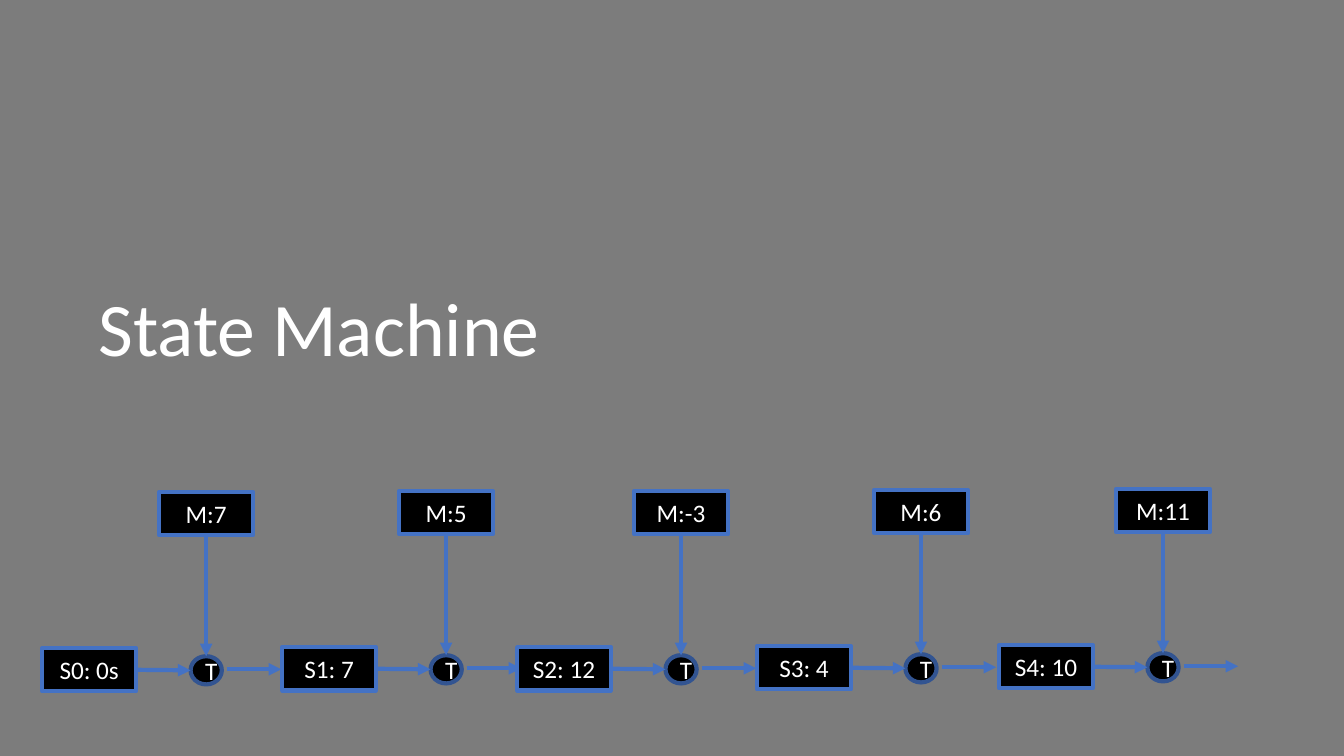
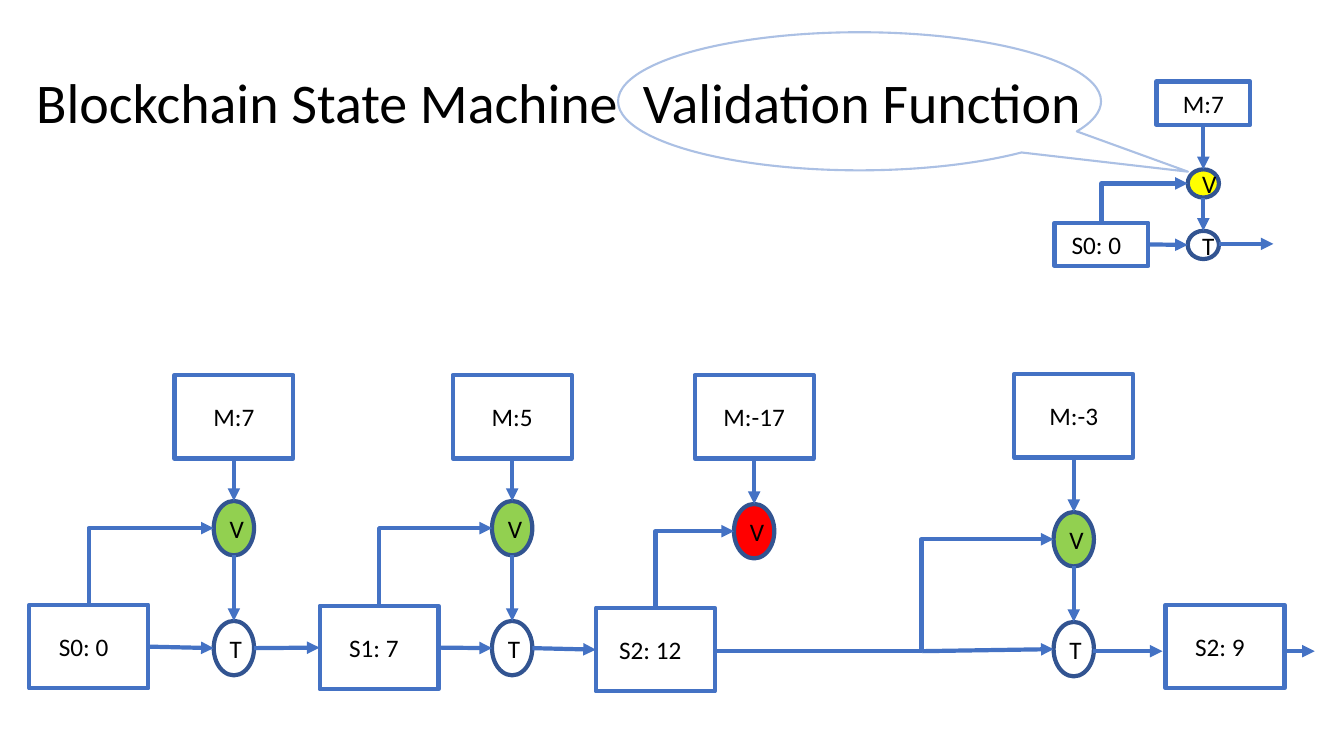
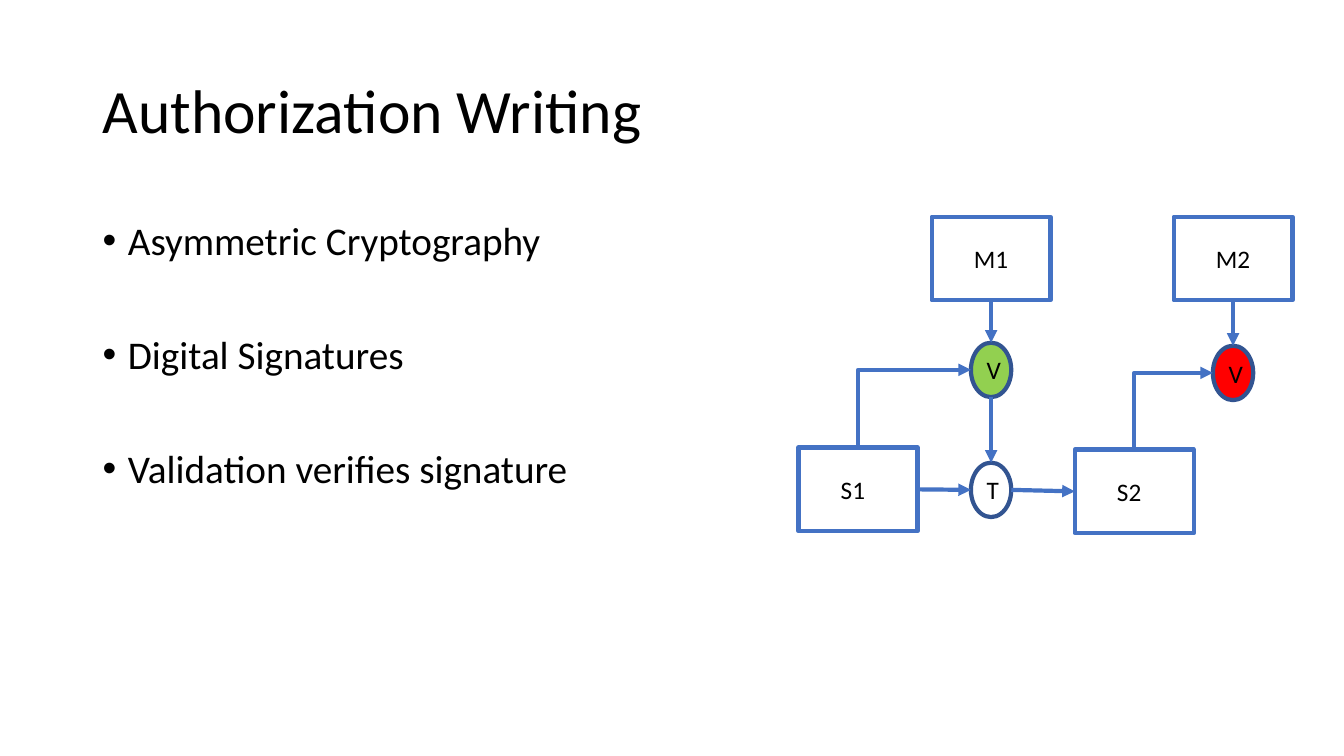
import pptx
import pptx.dml.color
import pptx.enum.shapes
import pptx.enum.text
import pptx.oxml.ns
import pptx.util
from lxml import etree

Inches = pptx.util.Inches
Pt = pptx.util.Pt
qn = pptx.oxml.ns.qn
SHAPE = pptx.enum.shapes.MSO_SHAPE
CONNECTOR = pptx.enum.shapes.MSO_CONNECTOR
ANCHOR = pptx.enum.text.MSO_ANCHOR
ALIGN = pptx.enum.text.PP_ALIGN

COLORS = {
    "grey": "7C7C7C", "white": "FFFFFF", "black": "000000",
    "blue": "4472C4", "navy": "325491", "pale": "ABC0E4",
    "green": "92D050", "red": "FF0000", "yellow": "FFFF00",
}
FONT = "Calibri"
# Box width and height, then circle width and height
SMALL = (0.93, 0.43, 0.31, 0.28)
LARGE = (1.18, 0.83, 0.40, 0.54)


def rgb(name):
    return pptx.dml.color.RGBColor.from_string(COLORS[name])


class Deck:
    """Holds the presentation, the current slide and its style."""

    def __init__(self):
        self.prs = pptx.Presentation()
        self.prs.slide_width, self.prs.slide_height = Inches(13.33), Inches(7.5)

    def new_slide(self, background, ink, paper, sizes):
        self.slide = self.prs.slides.add_slide(self.prs.slide_layouts[6])
        self.slide.background.fill.solid()
        self.slide.background.fill.fore_color.rgb = rgb(background)
        self.ink, self.paper, self.sizes = ink, paper, sizes

    def style_paragraph(self, paragraph, size):
        for run in paragraph.runs:
            run.font.name, run.font.size = FONT, Pt(size)
            run.font.color.rgb = rgb(self.ink)

    def text_frame(self, left, top, width, height, anchor=ANCHOR.TOP):
        box = self.slide.shapes.add_textbox(*map(Inches, (left, top, width, height)))
        box.text_frame.word_wrap = True
        box.text_frame.vertical_anchor = anchor
        return box.text_frame

    def title(self, text, bounds, size, anchor=ANCHOR.MIDDLE):
        heading = self.text_frame(*bounds, anchor).paragraphs[0]
        heading.text, heading.line_spacing = text, 0.9
        self.style_paragraph(heading, size)

    def bullets(self, items, bounds):
        frame = self.text_frame(*bounds)
        frame.text = "\n".join(items)
        for index, item in enumerate(frame.paragraphs):
            item.line_spacing = 0.9
            item.space_before = Pt(51 if index else 10)
            self.style_paragraph(item, 28)
            props = item._p.get_or_add_pPr()
            props.set("marL", str(Inches(0.25)))
            props.set("indent", str(Inches(-0.25)))
            etree.SubElement(props, qn("a:buFont")).set("typeface", "Arial")
            etree.SubElement(props, qn("a:buChar")).set("char", "•")

    def outline(self, preset, bounds, line, width):
        shape = self.slide.shapes.add_shape(preset, *map(Inches, bounds))
        shape.shadow.inherit = False
        shape.fill.background()
        shape.line.color.rgb, shape.line.width = rgb(line), Pt(width)
        return shape

    def node(self, preset, bounds, text, fill, line):
        shape = self.outline(preset, bounds, line, 3)
        shape.fill.solid()
        shape.fill.fore_color.rgb = rgb(fill)
        label = shape.text_frame.paragraphs[0]
        label.text, label.alignment = text, ALIGN.CENTER
        self.style_paragraph(label, 18)
        return shape

    def box(self, left, top, text):
        return self.node(SHAPE.RECTANGLE, (left, top, *self.sizes[:2]), text, self.paper, "blue")

    def state(self, left, top, text):
        """Box whose label sits slightly left of the middle."""
        shape = self.box(left, top, text)
        shape.text_frame.margin_right = Inches(0.2)
        return shape

    def circle(self, left, top, text, fill=None):
        return self.node(SHAPE.OVAL, (left, top, *self.sizes[2:]), text,
                         fill or self.paper, "navy")

    def arrow(self, start, end, kind=CONNECTOR.STRAIGHT):
        connector = self.slide.shapes.add_connector(kind, *map(Inches, (*start, *end)))
        connector.line.color.rgb, connector.line.width = rgb("blue"), Pt(3)
        etree.SubElement(connector.get_or_add_ln(), qn("a:tailEnd")).set("type", "triangle")
        etree.SubElement(connector.element.spPr, qn("a:effectLst"))
        return connector

    def link(self, source, target, downward=False):
        """Arrow from edge to edge of two nodes, rightward unless downward."""
        ends = []
        for node, reach in ((source, 1), (target, 0)):
            across, down = (0.5, reach) if downward else (reach, 0.5)
            ends.append(((node.left + across * node.width) / Inches(1),
                         (node.top + down * node.height) / Inches(1)))
        self.arrow(*ends)

    def rise(self, state, check):
        """Arrow from the top of a state up, then right into its check."""
        x1, y1 = state.left + state.width // 2, state.top
        x2, y2 = check.left, check.top + check.height // 2
        across, up = x2 - x1, y1 - y2
        connector = self.arrow((0, 0), (1, 1), CONNECTOR.ELBOW)
        connector.left, connector.top = (x1 + x2 - up) // 2, (y1 + y2 - across) // 2
        connector.width, connector.height = up, across
        properties = connector.element.spPr
        properties.find(qn("a:prstGeom")).set("prst", "bentConnector2")
        for key, value in (("rot", "5400000"), ("flipH", "1"), ("flipV", "1")):
            properties.find(qn("a:xfrm")).set(key, value)

    def column(self, left, tops, message, verdict):
        """Message, check and (with a third top) transition, linked downward."""
        circle_left = left + (self.sizes[0] - self.sizes[2]) / 2
        source = self.box(left, tops[0], message)
        check = self.circle(circle_left, tops[1], "V", verdict)
        self.link(source, check, downward=True)
        if len(tops) == 2:
            return check, None
        transition = self.circle(circle_left, tops[2], "T")
        self.link(check, transition, downward=True)
        return check, transition

    def accept_then_reject(self, dx, dy, states, messages):
        """One accepted step followed by a rejected one; returns the first state."""
        first = self.state(3.17 + dx, 6.01 + dy, states[0])
        check, transition = self.column(4.49 + dx, (3.72 + dy, 4.97 + dy, 6.16 + dy),
                                        messages[0], "green")
        self.rise(first, check)
        self.link(first, transition)
        second = self.state(5.91 + dx, 6.03 + dy, states[1])
        self.link(transition, second)
        check, _ = self.column(6.89 + dx, (3.72 + dy, 5 + dy), messages[1], "red")
        self.rise(second, check)
        return first


def state_machine(deck):
    deck.new_slide("grey", "white", "black", SMALL)
    deck.title("State Machine", (0.88, 2.84, 7.01, 3.58), 54, ANCHOR.TOP)
    steps = [
        (0.42, 6.43, "S0: 0s", "M:7"), (2.8, 6.42, "S1: 7", "M:5"),
        (5.13, 6.42, "S2: 12", "M:-3"), (7.51, 6.41, "S3: 4", "M:6"),
        (9.91, 6.4, "S4: 10", "M:11"),
    ]
    for left, top, state_text, message_text in steps:
        state = deck.box(left, top, state_text)
        message = deck.box(left + 1.16, top - 1.55, message_text)
        transition = deck.circle(left + 1.47, top + 0.08, "T")
        deck.link(message, transition, downward=True)
        deck.link(state, transition)
        deck.arrow((left + 1.83, top + 0.21), (left + 2.37, top + 0.21))


def validation_function(deck):
    deck.new_slide("white", "black", "white", SMALL)
    callout = deck.outline(SHAPE.OVAL_CALLOUT, (6.13, 0.32, 4.79, 1.37), "pale", 1.5)
    callout.adjustments[0], callout.adjustments[1] = 0.68, 0.51
    deck.title("Blockchain State Machine  Validation Function", (0.26, 0.32, 12.15, 1.45), 40)

    state = deck.state(10.46, 2.21, "S0: 0")
    check, transition = deck.column(11.47, (0.81, 1.68, 2.29), "M:7", "yellow")
    deck.rise(state, check)
    deck.link(state, transition)
    deck.arrow((12.09, 2.42), (12.63, 2.42))

    deck.sizes = LARGE
    state = deck.state(0.29, 6, "S0: 0")
    check, transition = deck.column(1.73, (3.72, 4.97, 6.16), "M:7", "green")
    deck.rise(state, check)
    deck.link(state, transition)
    following = deck.accept_then_reject(0, 0, ("S1: 7", "S2: 12"), ("M:5", "M:-17"))
    deck.link(transition, following)

    deck.column(10.06, (3.71, 5.08, 6.17), "M:-3", "green")
    bypass = deck.arrow((7.08, 6.46), (10.45, 5.35), CONNECTOR.ELBOW)
    geometry = bypass.element.spPr.find(qn("a:prstGeom"))
    bend = etree.SubElement(geometry.find(qn("a:avLst")), qn("a:gd"))
    bend.set("name", "adj1")
    bend.set("fmla", "val 61100")
    deck.arrow((9.15, 6.46), (10.45, 6.44))
    deck.state(11.56, 6, "S2: 9")
    deck.arrow((10.84, 6.46), (11.53, 6.46))
    deck.arrow((12.73, 6.46), (13.04, 6.46))


def authorization_writing(deck):
    deck.new_slide("white", "black", "white", LARGE)
    deck.title("Authorization Writing", (0.92, 0.4, 11.5, 1.45), 44)
    deck.bullets(["Asymmetric Cryptography", "Digital Signatures", "Validation verifies signature"],
                 (0.92, 2.15, 6.61, 4.6))
    deck.accept_then_reject(4.75, -1.57, ("S1", "S2"), ("M1", "M2"))


def main():
    deck = Deck()
    state_machine(deck)
    validation_function(deck)
    authorization_writing(deck)
    deck.prs.save("out.pptx")


if __name__ == "__main__":
    main()
